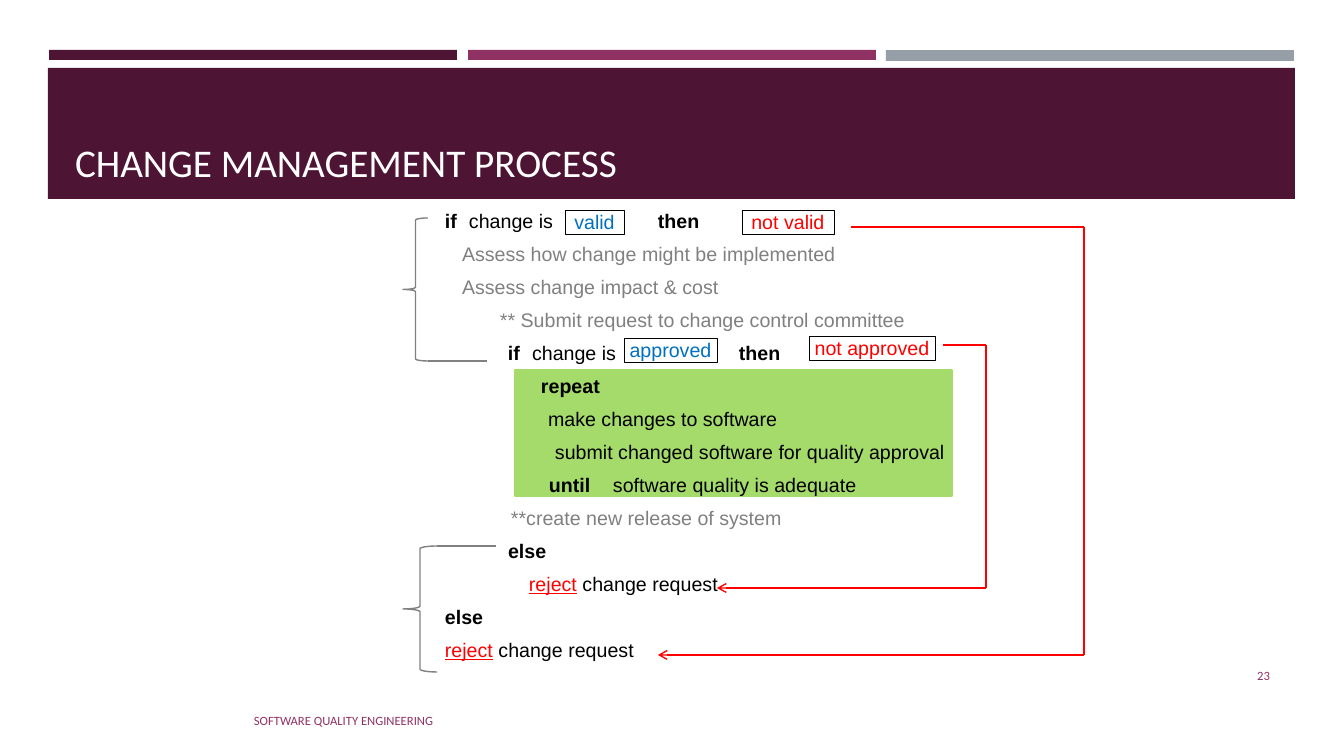
import pptx
import pptx.util
import pptx.dml.color
import pptx.enum.shapes
import pptx.enum.text
import pptx.oxml.ns
import lxml.etree

COLORS = {
    "plum": "4D1434", "berry": "903163", "slate": "969FA7", "green": "A4DB6B",
    "black": "000000", "gray": "808080", "red": "FF0000", "blue": "0070C0", "white": "FFFFFF",
}
BANDS = [
    (49, 50, 408, 10, "plum"), (468, 50, 408, 10, "berry"),
    (886, 50, 408, 11, "slate"), (48, 68, 1247, 131, "plum"),
]
REPEAT_BLOCK = (515, 370, 437, 126, "green")
CODE = [
    (0, 445, 13, "if", "bold"), (0, 469, 86, "change is", "black"), (0, 658, 42, "then", "bold"),
    (1, 462, 381, "Assess how change might be implemented", "gray"),
    (2, 462, 263, "Assess change impact & cost", "gray"),
    (3, 500, 412, "** Submit request to change control committee", "gray"),
    (4, 508, 13, "if", "bold"), (4, 532, 86, "change is", "black"), (4, 739, 42, "then", "bold"),
    (5, 541, 60, "repeat", "bold"),
    (6, 548, 236, "make changes to software", "black"),
    (7, 555, 397, "submit changed software for quality approval", "black"),
    (8, 549, 42, "until", "bold"), (8, 613, 249, "software quality is adequate", "black"),
    (9, 511, 272, "**create new release of system", "gray"),
    (10, 508, 39, "else", "bold"),
    (11, 529, 195, "reject| change request", "reject"),
    (12, 445, 39, "else", "bold"),
    (13, 445, 195, "reject| change request", "reject"),
]
FIRST_ROW, ROW_STEP, ROW_HEIGHT = 209, 33, 24
OUTCOMES = [
    (742, 210, 92, "not valid", "red"), (565, 210, 59, "valid", "blue"),
    (809, 336, 126, "not approved", "red"), (624, 338, 93, "approved", "blue"),
]
BRACES = [(403, 218, 25, 143), (403, 546, 34, 126)]
BRACE_TAILS = [(428, 361, 487, 361), (437, 546, 496, 546)]
REJECT_ROUTES = [(851, 227, 1084, 655, 658), (943, 345, 986, 588, 717)]

PX = 914400 / 100.8
SHAPES = pptx.enum.shapes.MSO_SHAPE
ALIGN = pptx.enum.text.PP_ALIGN
ANCHOR = pptx.enum.text.MSO_ANCHOR


def px(*lengths):
    return [pptx.util.Emu(round(length * PX)) for length in lengths]


def color(name):
    return pptx.dml.color.RGBColor.from_string(COLORS[name])


def add_outline(page, kind, place, line=None, weight=1, fill=None):
    shape = page.shapes.add_shape(kind, *px(*place))
    shape.shadow.inherit = False
    if fill:
        shape.fill.solid()
        shape.fill.fore_color.rgb = color(fill)
    else:
        shape.fill.background()
    if line:
        shape.line.color.rgb = color(line)
        shape.line.width = pptx.util.Pt(weight)
    else:
        shape.line.fill.background()
    return shape


def write(shape, text, size, font, ink, align=ALIGN.LEFT, anchor=ANCHOR.TOP, margin=0, wrap=True):
    frame = shape.text_frame
    frame.word_wrap = wrap
    frame.vertical_anchor = anchor
    frame.margin_left, frame.margin_right = px(margin, margin)
    frame.margin_top, frame.margin_bottom = px(margin / 2, margin / 2)
    para = frame.paragraphs[0]
    para.alignment = align
    para.font.size = pptx.util.Pt(size)
    para.font.name = font
    para.font.color.rgb = color(ink)
    for piece in text.split("|"):
        para.add_run().text = piece
    return para


def add_text(page, place, *args, **options):
    return write(page.shapes.add_textbox(*px(*place)), *args, **options)


def add_line(page, start_x, start_y, end_x, end_y, ink, arrow=False):
    line = page.shapes.add_connector(
        pptx.enum.shapes.MSO_CONNECTOR.STRAIGHT, *px(start_x, start_y, end_x, end_y))
    line.line.color.rgb = color(ink)
    line.line.width = pptx.util.Pt(1)
    qn = pptx.oxml.ns.qn
    if arrow:
        lxml.etree.SubElement(line.line._get_or_add_ln(), qn("a:tailEnd"), type="arrow")
    lxml.etree.SubElement(line._element.spPr, qn("a:effectLst"))


def main():
    deck = pptx.Presentation()
    deck.slide_width, deck.slide_height = px(1344, 756)
    page = deck.slides.add_slide(deck.slide_layouts[6])

    for *place, fill in BANDS:
        add_outline(page, SHAPES.RECTANGLE, place, fill=fill)
    add_text(page, (65, 78, 1216, 112), "CHANGE MANAGEMENT PROCESS", 28, "Calibri", "white",
             anchor=ANCHOR.BOTTOM, margin=10)

    *place, fill = REPEAT_BLOCK
    add_outline(page, SHAPES.RECTANGLE, place, line=fill, fill=fill)

    for row, left, width, text, style in CODE:
        place = (left, FIRST_ROW + row * ROW_STEP, width, ROW_HEIGHT)
        ink = style if style in COLORS else "black"
        para = add_text(page, place, text, 14, "Arial", ink, wrap=False)
        if style == "bold":
            para.font.bold = True
        elif style == "reject":
            para.runs[0].font.color.rgb = color("red")
            para.runs[0].font.underline = True

    for place in BRACES:
        add_outline(page, SHAPES.LEFT_BRACE, place, line="gray")
    for ends in BRACE_TAILS:
        add_line(page, *ends, "gray")

    for left, top, width, text, ink in OUTCOMES:
        box = add_outline(page, SHAPES.RECTANGLE, (left, top, width, ROW_HEIGHT), "black", 0.5)
        write(box, text, 14, "Arial", ink, align=ALIGN.CENTER)

    for start, top, corner, bottom, end in REJECT_ROUTES:
        add_line(page, corner, top, start, top, "red")
        add_line(page, corner, top, corner, bottom, "red")
        add_line(page, corner, bottom, end, bottom, "red", arrow=True)

    add_text(page, (1164, 656, 116, 40), "23", 9, "Calibri", "berry",
             align=ALIGN.RIGHT, anchor=ANCHOR.MIDDLE, margin=10)
    add_text(page, (244, 700, 313, 40), "SOFTWARE QUALITY ENGINEERING", 9, "Calibri", "berry",
             anchor=ANCHOR.MIDDLE, margin=10)

    deck.save("out.pptx")


if __name__ == "__main__":
    main()
